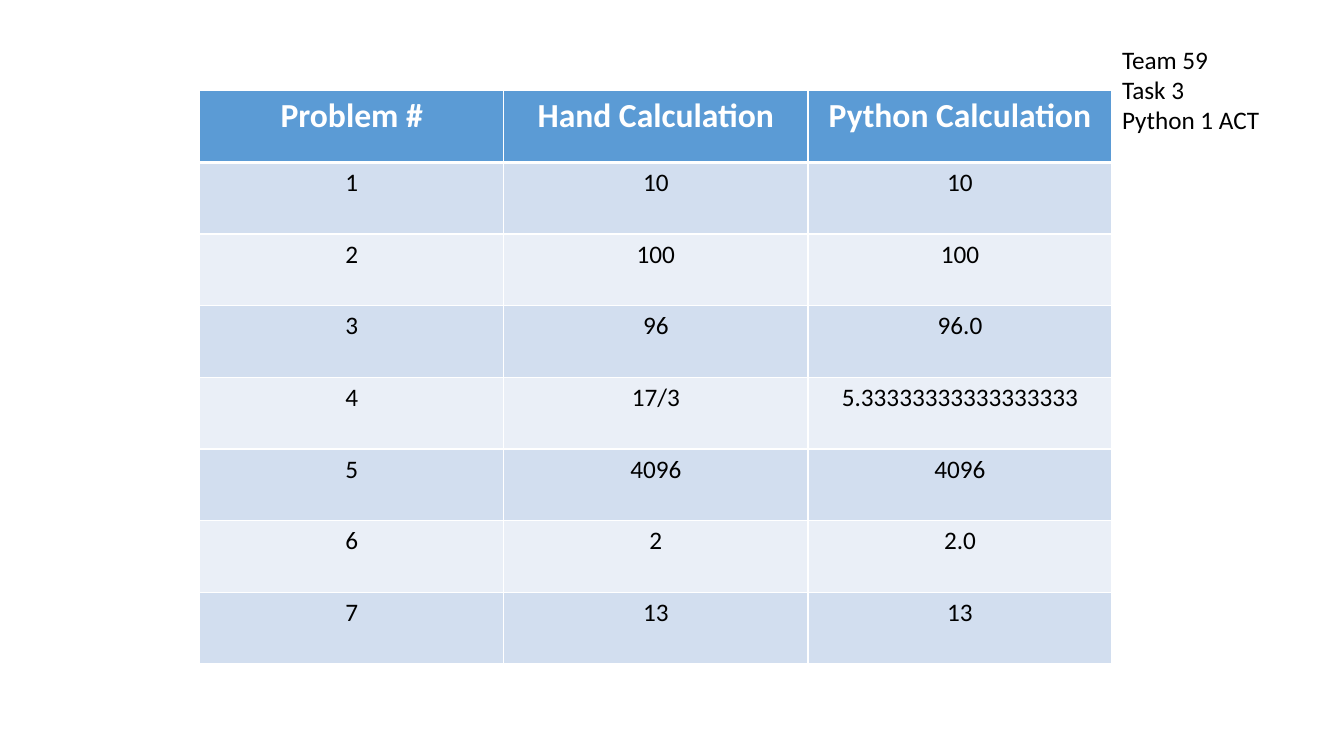
from dataclasses import dataclass

from lxml.etree import SubElement
from pptx import Presentation
from pptx.dml.color import RGBColor
from pptx.enum.text import MSO_AUTO_SIZE, PP_ALIGN
from pptx.oxml.ns import qn
from pptx.util import Inches, Pt


@dataclass(frozen=True)
class Theme:
    """Colours, font and type sizes of the slide."""
    font: str = "Calibri"
    white: str = "FFFFFF"
    black: str = "000000"
    header: str = "5B9BD5"
    bands: tuple = ("D2DEEF", "EAEFF7")
    header_size: int = 24
    body_size: int = 18
    rule: int = 1
    header_rule: int = 3


THEME = Theme()
HEADER = ("Problem #", "Hand Calculation", "Python Calculation")
RESULTS = (
    ("1", "10", "10"),
    ("2", "100", "100"),
    ("3", "96", "96.0"),
    ("4", "17/3", "5.33333333333333333"),
    ("5", "4096", "4096"),
    ("6", "2", "2.0"),
    ("7", "13", "13"),
)
TEAM_LINES = ("Team 59", "Task 3", "Python 1 ACT")
TABLE_BOX = (1.98, 0.9, 9.05, 5.69)
TEAM_BOX = (11.03, 0.39, 2.68, 1.01)


def write(p, text, color, **formats):
    """Add a run of text to a paragraph in the theme font."""
    r = p.add_run()
    r.text = text
    for name, value in {"name": THEME.font, **formats}.items():
        setattr(r.font, name, value)
    r.font.color.rgb = RGBColor.from_string(color)


def set_borders(cell, widths):
    """Draw white cell borders from a dict of side and width in points."""
    tcPr = cell._tc.get_or_add_tcPr()
    for side, width in widths.items():
        ln = SubElement(tcPr, qn(f"a:ln{side}"), w=str(Pt(width)))
        fill = SubElement(ln, qn("a:solidFill"))
        SubElement(fill, qn("a:srgbClr"), val=THEME.white)


def fill_cell(cell, text, row):
    """Style one table cell by its row and write its text."""
    if row == 0:
        fill, color = THEME.header, THEME.white
        formats = {"size": Pt(THEME.header_size), "bold": True}
    else:
        fill, color = THEME.bands[(row - 1) % 2], THEME.black
        formats = {"size": Pt(THEME.body_size), "bold": False}
    widths = dict.fromkeys("LRTB", THEME.rule)
    if row < 2:
        widths["B" if row == 0 else "T"] = THEME.header_rule
    set_borders(cell, widths)
    cell.fill.solid()
    cell.fill.fore_color.rgb = RGBColor.from_string(fill)
    p = cell.text_frame.paragraphs[0]
    p.alignment = PP_ALIGN.CENTER
    write(p, text, color, **formats)


def add_results(s, box):
    """Place the comparison table with equal rows and columns in the box."""
    rows = (HEADER, *RESULTS)
    table = s.shapes.add_table(len(rows), len(HEADER), *map(Inches, box)).table
    for i, row in enumerate(rows):
        for j, text in enumerate(row):
            fill_cell(table.cell(i, j), text, i)


def add_team(s, box):
    """Place the team lines in the box."""
    tf = s.shapes.add_textbox(*map(Inches, box)).text_frame
    for name, value in {"word_wrap": True, "auto_size": MSO_AUTO_SIZE.SHAPE_TO_FIT_TEXT}.items():
        setattr(tf, name, value)
    for i, text in enumerate(TEAM_LINES):
        p = tf.add_paragraph() if i else tf.paragraphs[0]
        write(p, text, THEME.black, size=Pt(THEME.body_size))


def main():
    """Build and save the slide."""
    prs = Presentation()
    prs.slide_width, prs.slide_height = Inches(13.33), Inches(7.5)
    s = prs.slides.add_slide(prs.slide_layouts[6])
    add_results(s, TABLE_BOX)
    add_team(s, TEAM_BOX)
    prs.save("out.pptx")


if __name__ == "__main__":
    main()
